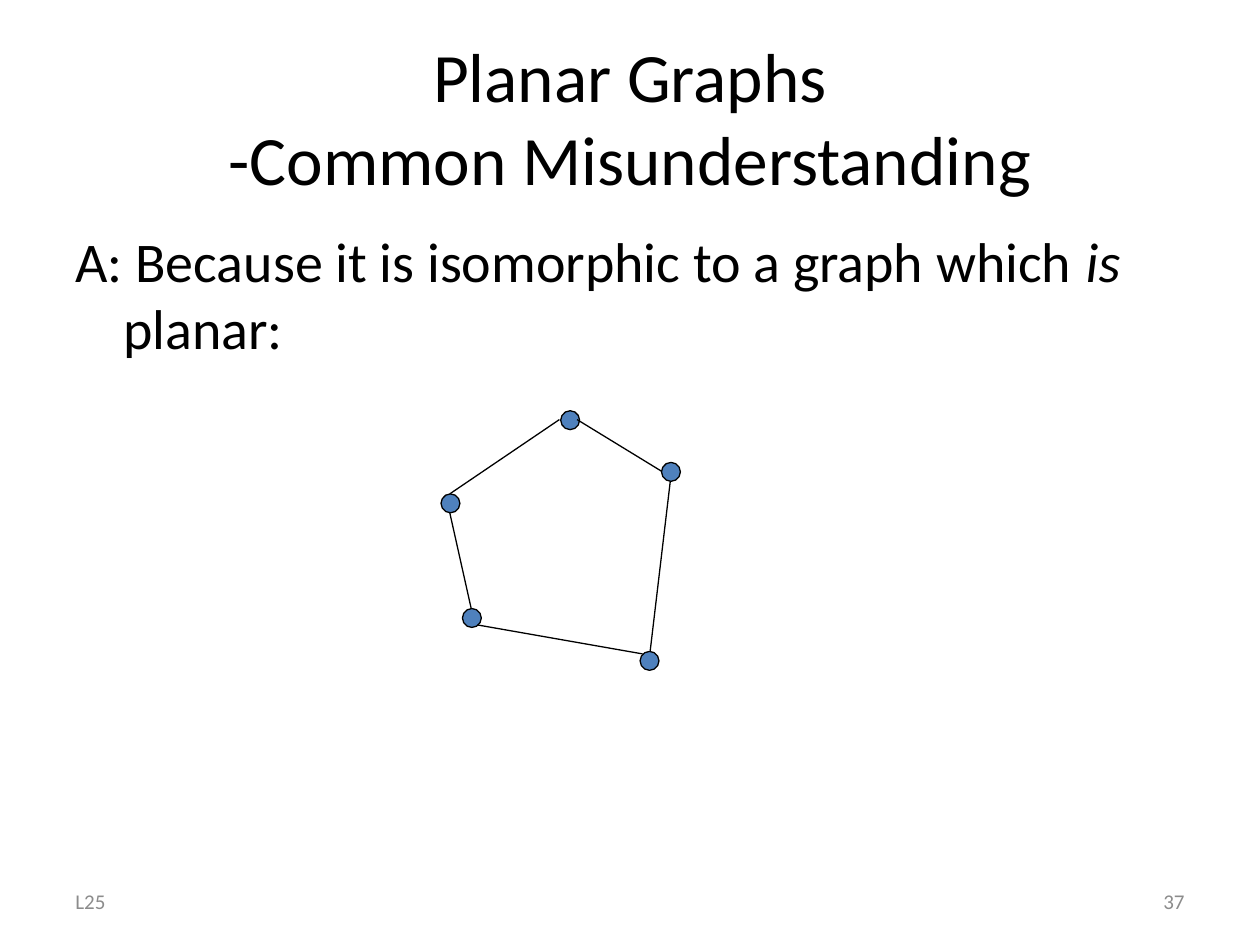
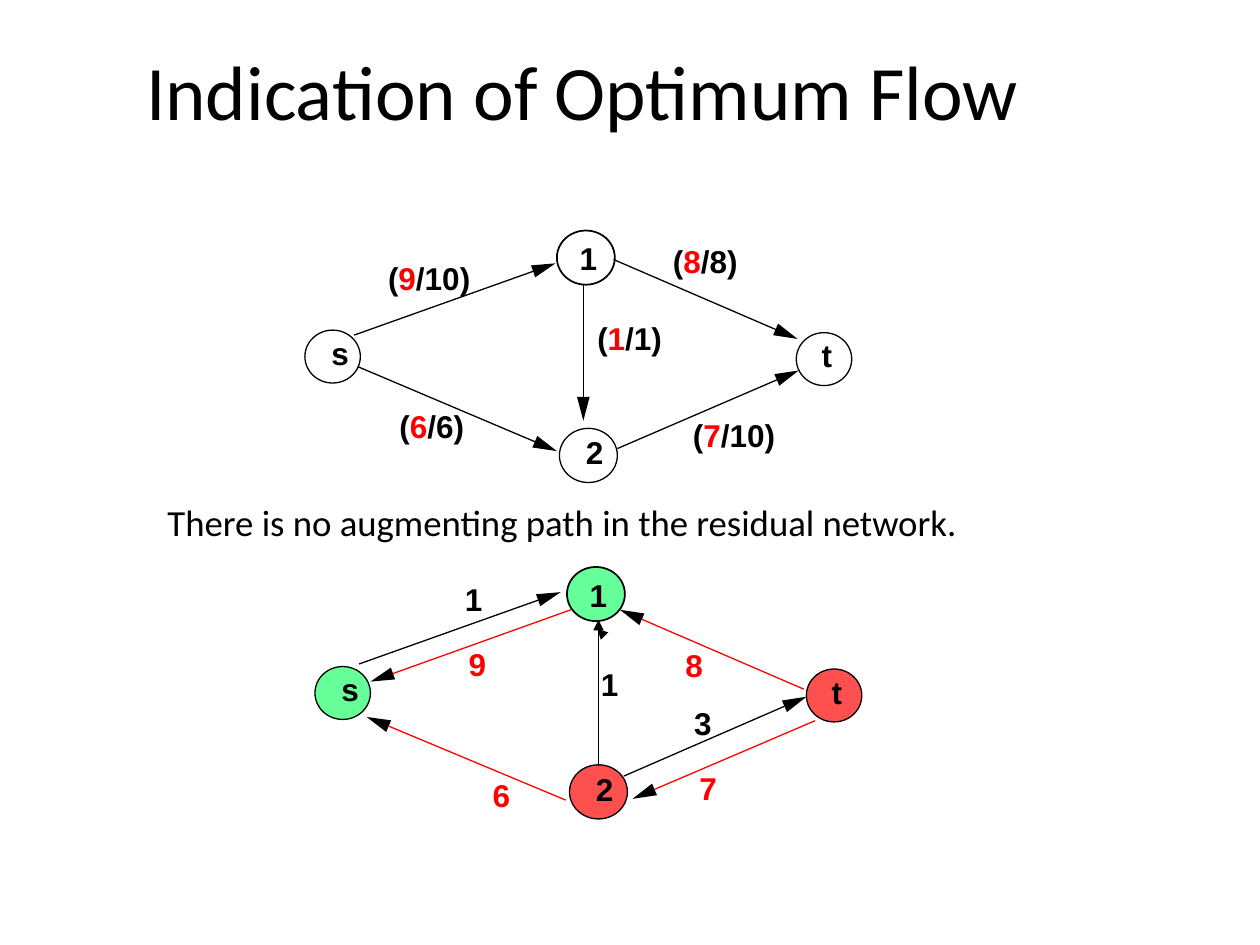
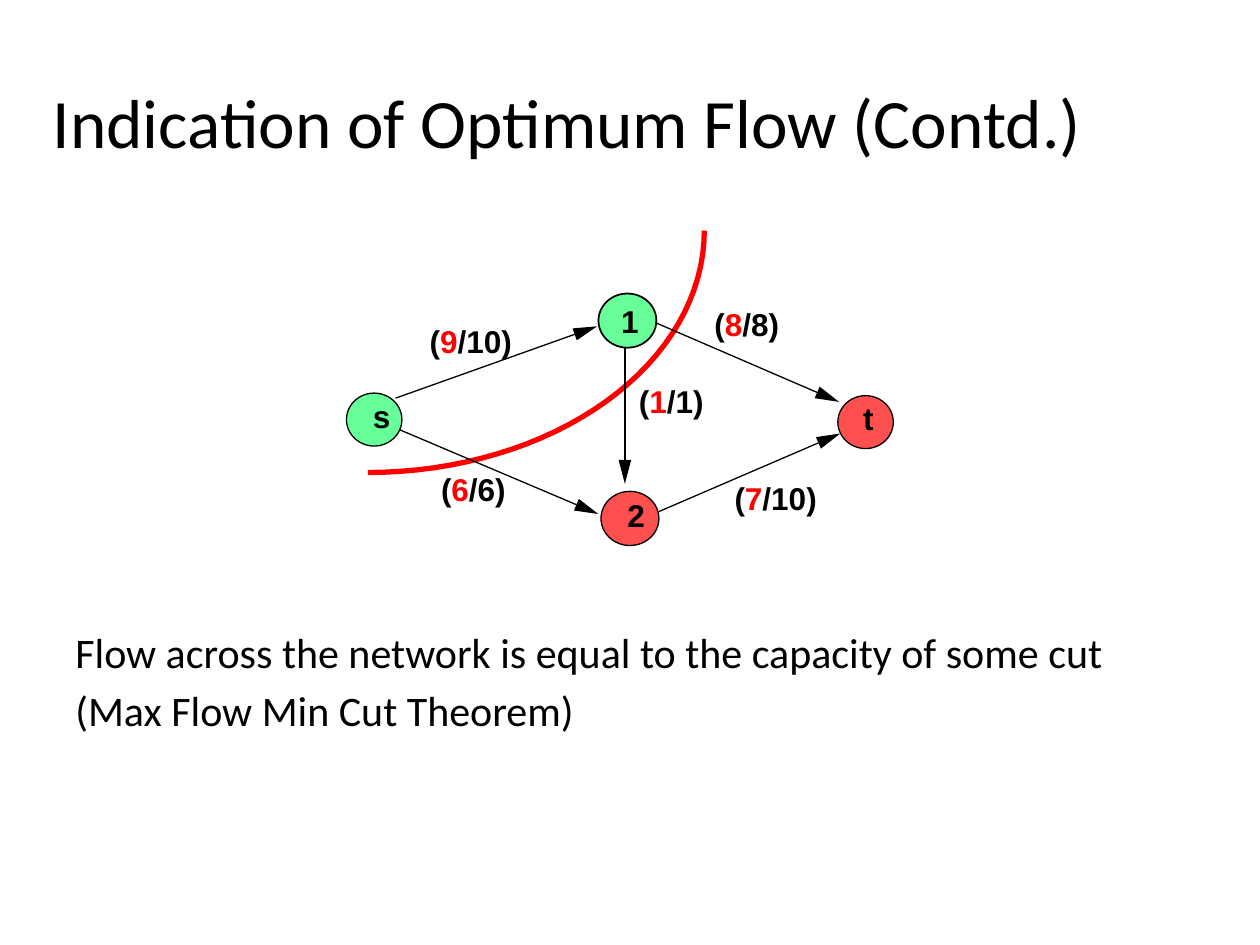
"""Build three lecture slides on planar graphs and optimum network flow."""
import math
from typing import NamedTuple

import lxml.etree
import pptx
import pptx.dml.color
import pptx.enum.shapes
import pptx.enum.text
import pptx.oxml.ns
import pptx.util

COLORS = {
    "black": "000000",
    "white": "FFFFFF",
    "grey": "8C8C8C",
    "blue": "4F81BD",
    "red": "FF0000",
    "source side": "66FF99",
    "sink side": "FF5050",
}
Inches = pptx.util.Inches
ALIGN = pptx.enum.text.PP_ALIGN
ANCHOR = pptx.enum.text.MSO_ANCHOR
HEAD_LENGTH = 0.19
HEAD_HALF_WIDTH = 0.05
VERTEX_SIZE = 0.15
HANGING = 0.38
CUT_STEPS = 32


class Point(NamedTuple):
    x: float
    y: float


class Box(NamedTuple):
    left: float
    top: float
    width: float
    height: float


class Piece(NamedTuple):
    text: str
    color: str = "black"
    italic: bool = False


class Style(NamedTuple):
    size: float
    font: str = "Calibri"
    bold: bool = False
    align: ALIGN = ALIGN.LEFT
    anchor: ANCHOR = ANCHOR.TOP
    hanging: float = 0
    tight: bool = False


class Node(NamedTuple):
    name: str
    box: Box
    letter: Point
    weight: float = 0.75


class Arrow(NamedTuple):
    start: Point
    tip: Point
    color: str = "black"
    weight: float = 0.75


class Label(NamedTuple):
    box: Box
    pieces: list[Piece]


def flow_label(left: float, top: float, flow: int, capacity: int) -> Label:
    width = 0.66 if capacity > 9 else 0.52
    pieces = [Piece("("), Piece(str(flow), "red"), Piece(f"/{capacity})")]
    return Label(Box(left, top, width, 0.3), pieces)


def residual_label(left: float, top: float, value: int, color: str = "black") -> Label:
    return Label(Box(left, top, 0.14, 0.3), [Piece(str(value), color)])


TITLE = Style(39.6, align=ALIGN.CENTER, anchor=ANCHOR.MIDDLE)
BIG_TITLE = TITLE._replace(size=44)
BODY = Style(32, hanging=HANGING)
FOOTER = Style(12, anchor=ANCHOR.MIDDLE)
LABEL = Style(18, "Arial", bold=True, tight=True)

VERTICES = [Point(3.67, 4.83), Point(3.5, 3.92), Point(4.45, 3.26), Point(5.08, 5.17), Point(5.25, 3.67)]
EDGES = [
    (Point(3.74, 4.83), Point(3.57, 4.07)),
    (Point(4.44, 3.33), Point(3.57, 3.92)),
    (Point(5.1, 5.19), Point(3.79, 4.96)),
    (Point(5.25, 3.74), Point(4.58, 3.33)),
    (Point(5.32, 3.82), Point(5.16, 5.17)),
]
NODES = [
    Node("s", Box(2.42, 2.62, 0.44, 0.42), Point(0.21, 0.03)),
    Node("1", Box(4.42, 1.83, 0.46, 0.43), Point(0.18, 0.07), 1),
    Node("2", Box(4.44, 3.4, 0.46, 0.43), Point(0.21, 0.04)),
    Node("t", Box(6.32, 2.64, 0.44, 0.42), Point(0.2, 0.03)),
]
FLOW_ARROWS = [
    Arrow(Point(2.81, 2.66), Point(4.41, 2.09)),
    Arrow(Point(2.84, 2.91), Point(4.42, 3.58)),
    Arrow(Point(4.87, 2.06), Point(6.33, 2.69)),
    Arrow(Point(4.9, 3.56), Point(6.34, 2.94)),
    Arrow(Point(4.63, 2.26), Point(4.63, 3.34), weight=1),
]
FLOW_LABELS = [
    flow_label(3.08, 2.06, 9, 10),
    flow_label(5.34, 1.92, 8, 8),
    flow_label(4.74, 2.53, 1, 1),
    flow_label(5.5, 3.3, 7, 10),
    flow_label(3.17, 3.23, 6, 6),
]
RESIDUAL_ARROWS = [
    Arrow(Point(2.85, 5.27), Point(4.45, 4.7)),
    Arrow(Point(4.95, 6.16), Point(6.4, 5.53)),
    Arrow(Point(4.53, 4.84), Point(2.94, 5.41), "red"),
    Arrow(Point(6.38, 5.47), Point(4.92, 4.84), "red"),
    Arrow(Point(6.47, 5.72), Point(5.02, 6.34), "red"),
    Arrow(Point(4.49, 6.35), Point(2.91, 5.69), "red"),
]
RESIDUAL_LABELS = [
    residual_label(3.69, 4.6, 1),
    residual_label(4.77, 5.28, 1),
    residual_label(5.51, 5.59, 3),
    residual_label(3.72, 5.12, 9, "red"),
    residual_label(3.91, 6.16, 6, "red"),
    residual_label(5.55, 6.1, 7, "red"),
    residual_label(5.44, 5.13, 8, "red"),
]
PLAIN = dict.fromkeys("s12t", "white")
CUT_SIDES = {"s": "source side", "1": "source side", "2": "sink side", "t": "sink side"}
NO_SHIFT = Point(0, 0)
RESIDUAL_SHIFT = Point(0.08, 2.67)
CUT_SHIFT = Point(0.33, 0.5)


def rgb(name: str) -> pptx.dml.color.RGBColor:
    return pptx.dml.color.RGBColor.from_string(COLORS[name])


def moved(point: Point, shift: Point) -> Point:
    return Point(point.x + shift.x, point.y + shift.y)


def moved_box(box: Box, shift: Point) -> Box:
    return box._replace(left=box.left + shift.x, top=box.top + shift.y)


def add_text(slide, box: Box, paragraphs: list[list[Piece]], style: Style, fill: str = "") -> None:
    shape = slide.shapes.add_textbox(*map(Inches, box))
    if fill:
        shape.fill.solid()
        shape.fill.fore_color.rgb = rgb(fill)
    frame = shape.text_frame
    frame.word_wrap = not style.tight
    frame.vertical_anchor = style.anchor
    if style.tight:
        frame.auto_size = pptx.enum.text.MSO_AUTO_SIZE.SHAPE_TO_FIT_TEXT
        frame.margin_left = frame.margin_right = frame.margin_top = frame.margin_bottom = 0
    for index, pieces in enumerate(paragraphs):
        paragraph = frame.add_paragraph() if index else frame.paragraphs[0]
        paragraph.alignment = style.align
        if index:
            paragraph.space_before = pptx.util.Pt(style.size * 0.2)
        if style.hanging:
            properties = paragraph._p.get_or_add_pPr()
            properties.set("marL", str(Inches(style.hanging)))
            properties.set("indent", str(-Inches(style.hanging)))
        for piece in pieces:
            first, *rest = piece.text.split("\n")
            add_run(paragraph, first, piece, style)
            for line in rest:
                paragraph.add_line_break()
                add_run(paragraph, line, piece, style)


def add_run(paragraph, text: str, piece: Piece, style: Style) -> None:
    run = paragraph.add_run()
    run.text = text
    run.font.name = style.font
    run.font.size = pptx.util.Pt(style.size)
    run.font.bold = style.bold
    run.font.italic = piece.italic
    run.font.color.rgb = rgb(piece.color)


def add_circle(slide, box: Box, fill: str, weight: float = 0.75) -> None:
    circle = slide.shapes.add_shape(pptx.enum.shapes.MSO_SHAPE.OVAL, *map(Inches, box))
    circle.shadow.inherit = False
    circle.fill.solid()
    circle.fill.fore_color.rgb = rgb(fill)
    circle.line.color.rgb = rgb("black")
    circle.line.width = pptx.util.Pt(weight)


def add_line(slide, start: Point, end: Point, color: str = "black", weight: float = 0.75,
             headed: bool = False) -> None:
    connector = slide.shapes.add_connector(
        pptx.enum.shapes.MSO_CONNECTOR.STRAIGHT, *map(Inches, (*start, *end)))
    connector.line.color.rgb = rgb(color)
    connector.line.width = pptx.util.Pt(weight)
    qualified = pptx.oxml.ns.qn
    if headed:
        outline = connector.line._get_or_add_ln()
        lxml.etree.SubElement(outline, qualified("a:tailEnd"), type="triangle")
    lxml.etree.SubElement(connector._element.spPr, qualified("a:effectLst"))


def add_outline(slide, points: list[Point], close: bool):
    start, *rest = [(Inches(point.x), Inches(point.y)) for point in points]
    builder = slide.shapes.build_freeform(*start)
    builder.add_line_segments(rest, close=close)
    outline = builder.convert_to_shape()
    outline.shadow.inherit = False
    return outline


def add_arrow(slide, arrow: Arrow, shift: Point) -> None:
    start, tip = moved(arrow.start, shift), moved(arrow.tip, shift)
    length = math.dist(start, tip)
    along = Point((tip.x - start.x) / length, (tip.y - start.y) / length)
    base = Point(tip.x - along.x * HEAD_LENGTH, tip.y - along.y * HEAD_LENGTH)
    side = Point(-along.y * HEAD_HALF_WIDTH, along.x * HEAD_HALF_WIDTH)
    corners = [tip, moved(base, side), Point(base.x - side.x, base.y - side.y)]
    head = add_outline(slide, corners, close=True)
    head.fill.solid()
    head.fill.fore_color.rgb = rgb("black")
    head.line.fill.background()
    add_line(slide, start, base, arrow.color, arrow.weight)


def add_network(slide, shift: Point, fills: dict[str, str], arrows: list[Arrow],
                labels: list[Label], edge_shift: Point, filled_letters: str = "") -> None:
    for node in NODES:
        box = moved_box(node.box, shift)
        fill = fills[node.name]
        add_circle(slide, box, fill, node.weight)
        corner = moved(Point(box.left, box.top), node.letter)
        width = 0.08 if node.name == "t" else 0.14
        add_text(slide, Box(*corner, width, 0.3), [[Piece(node.name)]], LABEL,
                 fill if node.name in filled_letters else "")
    for arrow in arrows:
        add_arrow(slide, arrow, edge_shift)
    for label in labels:
        add_text(slide, moved_box(label.box, edge_shift), [label.pieces], LABEL)


def add_cut(slide, center: Point, radii: Point) -> None:
    angles = [math.pi / 2 * step / CUT_STEPS for step in range(CUT_STEPS + 1)]
    points = [Point(center.x + radii.x * math.sin(angle), center.y + radii.y * math.cos(angle))
              for angle in angles]
    cut = add_outline(slide, points, close=False)
    cut.fill.background()
    cut.line.color.rgb = rgb("red")
    cut.line.width = pptx.util.Pt(3)


def build_planar_slide(slide) -> None:
    add_text(slide, Box(0.5, 6.95, 2.33, 0.4), [[Piece("L25", "grey")]], FOOTER)
    add_text(slide, Box(7.17, 6.95, 2.33, 0.4), [[Piece("37", "grey")]],
             FOOTER._replace(align=ALIGN.RIGHT))
    add_text(slide, Box(0.5, 0.3, 9, 1.25),
             [[Piece("Planar Graphs\n-Common Misunderstanding")]], TITLE)
    answer = [Piece("A: Because it is isomorphic to a graph which "),
              Piece("is", italic=True), Piece(" planar:")]
    add_text(slide, Box(0.5, 1.75, 9, 4.95), [answer], BODY)
    for vertex in VERTICES:
        add_circle(slide, Box(*vertex, VERTEX_SIZE, VERTEX_SIZE), "blue")
    for start, end in EDGES:
        add_line(slide, start, end)


def build_flow_slide(slide) -> None:
    add_text(slide, Box(0.5, 0, 8.25, 1.42), [[Piece("Indication of Optimum Flow")]], BIG_TITLE)
    add_text(slide, Box(1.23, 3.92, 8.19, 0.57),
             [[Piece("There is no augmenting path in the residual network.")]],
             BODY._replace(size=21))
    add_network(slide, NO_SHIFT, PLAIN, FLOW_ARROWS, FLOW_LABELS, NO_SHIFT, "2")
    add_network(slide, RESIDUAL_SHIFT, CUT_SIDES, RESIDUAL_ARROWS, RESIDUAL_LABELS, NO_SHIFT)
    add_line(slide, Point(4.75, 5), Point(4.74, 4.99), headed=True)
    add_line(slide, Point(4.75, 6.08), Point(4.75, 4.92), headed=True)


def build_cut_slide(slide) -> None:
    add_text(slide, Box(0.25, 0.33, 8.5, 1.25),
             [[Piece("Indication of Optimum Flow (Contd.)")]], TITLE)
    add_text(slide, Box(0.5, 4.92, 9.5, 1.17),
             [[Piece("Flow across the network is equal to the capacity of some cut")],
              [Piece("(Max Flow Min Cut Theorem)")]], BODY._replace(size=24))
    add_cut(slide, Point(2.92, 1.83), Point(2.67, 1.92))
    add_network(slide, CUT_SHIFT, CUT_SIDES, FLOW_ARROWS, FLOW_LABELS, CUT_SHIFT, "2")


def main() -> None:
    presentation = pptx.Presentation()
    presentation.slide_width = Inches(10)
    presentation.slide_height = Inches(7.5)
    for build in (build_planar_slide, build_flow_slide, build_cut_slide):
        build(presentation.slides.add_slide(presentation.slide_layouts[6]))
    presentation.save("out.pptx")


if __name__ == "__main__":
    main()
